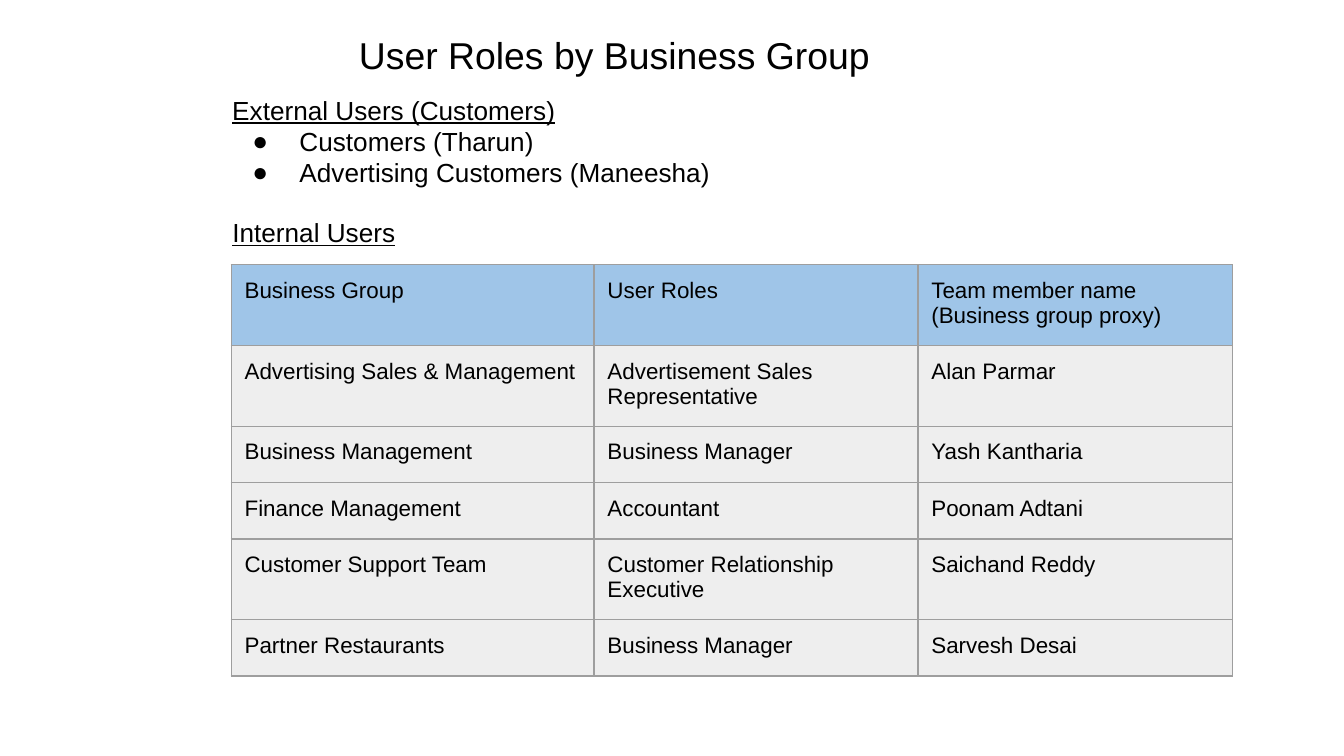
from dataclasses import dataclass

from lxml import etree
from pptx import Presentation
from pptx.dml.color import RGBColor
from pptx.enum import text
from pptx.oxml import ns
from pptx.util import Inches, Pt

COLORS = {"text": "000000", "header": "9FC5E8", "body": "EEEEEE", "border": "9E9E9E"}
FONT = "Arial"
INSET = Inches(0.1)


@dataclass
class Box:
    left: float
    top: float
    width: float
    height: float

    def lengths(self) -> list:
        return [Inches(n) for n in (self.left, self.top, self.width, self.height)]


@dataclass
class UserSection:
    heading: str
    box: Box
    members: tuple = ()


TITLE_BOX = Box(2.57, 0.14, 5.72, 0.54)
SECTIONS = [
    UserSection("External Users (Customers)", Box(1.63, 0.6, 3.94, 0.91),
                ("Customers (Tharun)", "Advertising Customers (Maneesha)")),
    UserSection("Internal Users", Box(1.63, 1.51, 2.48, 0.44)),
]
TABLE_BOX = Box(1.72, 1.97, 7.45, 3.06)
COLUMN_WIDTHS = [2.7, 2.41, 2.34]
ROW_HEIGHTS = [0.6, 0.6, 0.42, 0.42, 0.6, 0.42]
ROLES = [
    ("Business Group", "User Roles", "Team member name\n(Business group proxy)"),
    ("Advertising Sales & Management", "Advertisement Sales Representative", "Alan Parmar"),
    ("Business Management", "Business Manager", "Yash Kantharia"),
    ("Finance Management", "Accountant", "Poonam Adtani"),
    ("Customer Support Team", "Customer Relationship Executive", "Saichand Reddy"),
    ("Partner Restaurants", "Business Manager", "Sarvesh Desai"),
]


def color(name: str) -> RGBColor:
    return RGBColor.from_string(COLORS[name])


def style_text(frame, size: int) -> None:
    """Set the font and left alignment of every paragraph."""
    for paragraph in frame.paragraphs:
        paragraph.alignment = text.PP_ALIGN.LEFT
        paragraph.font.name = FONT
        paragraph.font.size = Pt(size)
        paragraph.font.color.rgb = color("text")


def set_insets(target) -> None:
    target.margin_left = target.margin_right = INSET
    target.margin_top = target.margin_bottom = INSET
    target.vertical_anchor = text.MSO_ANCHOR.TOP


def add_bullet(paragraph) -> None:
    properties = paragraph._p.get_or_add_pPr()
    properties.set("marL", str(Inches(0.5)))
    properties.set("indent", str(Inches(-0.35)))
    bullet_color = etree.SubElement(properties, ns.qn("a:buClr"))
    etree.SubElement(bullet_color, ns.qn("a:srgbClr"), val=COLORS["text"])
    etree.SubElement(properties, ns.qn("a:buFont"), typeface=FONT)
    etree.SubElement(properties, ns.qn("a:buChar"), char="●")
    # Font defaults must follow the bullet settings
    defaults = properties.find(ns.qn("a:defRPr"))
    if defaults is not None:
        properties.append(defaults)


def add_title(slide, title: str) -> None:
    shape = slide.shapes.title
    shape.left, shape.top, shape.width, shape.height = TITLE_BOX.lengths()
    frame = shape.text_frame
    frame.text = title
    frame.word_wrap = True
    frame.auto_size = text.MSO_AUTO_SIZE.NONE
    set_insets(frame)
    style_text(frame, 20)


def add_section(slide, section: UserSection) -> None:
    frame = slide.shapes.add_textbox(*section.box.lengths()).text_frame
    frame.word_wrap = True
    set_insets(frame)
    frame.text = "\n".join((section.heading, *section.members))
    style_text(frame, 14)
    heading, *members = frame.paragraphs
    heading.font.underline = True
    for paragraph in members:
        add_bullet(paragraph)


def add_borders(cell) -> None:
    properties = cell._tc.get_or_add_tcPr()
    for position, side in enumerate(("a:lnL", "a:lnR", "a:lnT", "a:lnB")):
        line = etree.Element(ns.qn(side), w=str(Pt(0.75)))
        fill = etree.SubElement(line, ns.qn("a:solidFill"))
        etree.SubElement(fill, ns.qn("a:srgbClr"), val=COLORS["border"])
        properties.insert(position, line)


def add_roles_table(slide) -> None:
    table = slide.shapes.add_table(len(ROLES), len(COLUMN_WIDTHS), *TABLE_BOX.lengths()).table
    table.horz_banding = False
    for column, width in zip(table.columns, COLUMN_WIDTHS):
        column.width = Inches(width)
    for index, (row, height, values) in enumerate(zip(table.rows, ROW_HEIGHTS, ROLES)):
        row.height = Inches(height)
        for cell, value in zip(row.cells, values):
            cell.text = value
            set_insets(cell)
            cell.fill.solid()
            cell.fill.fore_color.rgb = color("body" if index else "header")
            style_text(cell.text_frame, 12)
            for paragraph in cell.text_frame.paragraphs:
                paragraph.font.bold = False
            add_borders(cell)


def main() -> None:
    # Widescreen slide, 16:9
    presentation = Presentation()
    presentation.slide_width = Inches(10)
    presentation.slide_height = Inches(10 * 9 / 16)
    slide = presentation.slides.add_slide(presentation.slide_layouts[5])

    # Title and user sections
    add_title(slide, "User Roles by Business Group")
    for section in SECTIONS:
        add_section(slide, section)

    # Roles of the internal users
    add_roles_table(slide)
    presentation.save("out.pptx")


if __name__ == "__main__":
    main()
